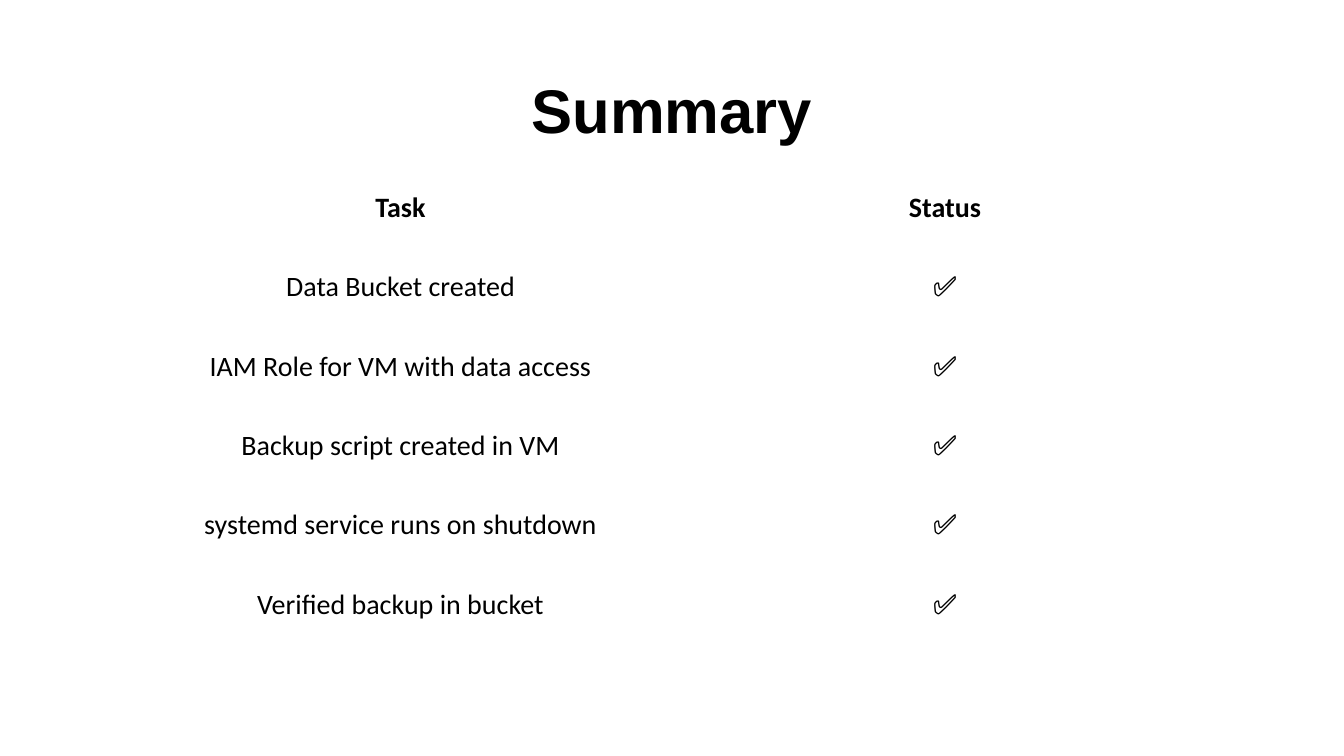
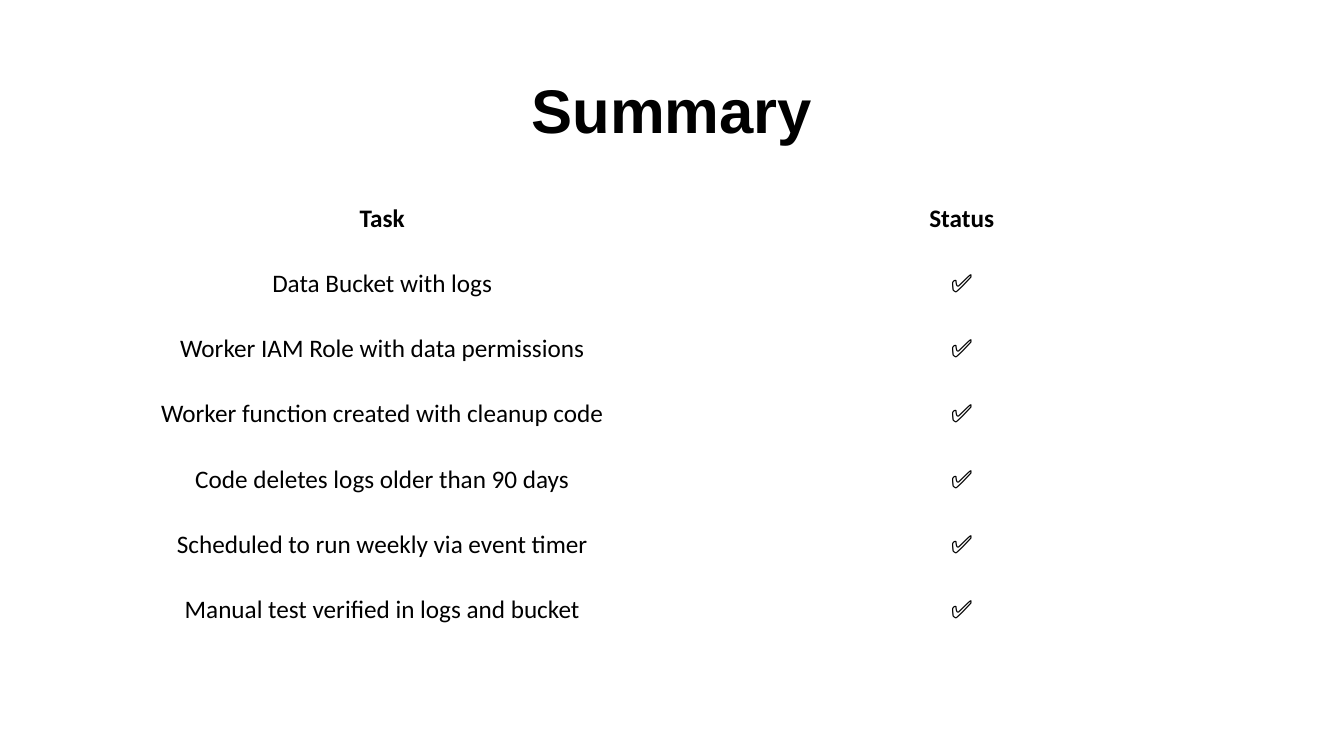
import pptx
import pptx.dml.color
import pptx.enum.text
import pptx.util

Cm = pptx.util.Cm
Pt = pptx.util.Pt
PP_ALIGN = pptx.enum.text.PP_ALIGN
MSO_ANCHOR = pptx.enum.text.MSO_ANCHOR

BLACK = pptx.dml.color.RGBColor(0x00, 0x00, 0x00)
WHITE = pptx.dml.color.RGBColor(0xFF, 0xFF, 0xFF)
TITLE_FONT = "Arial"
TABLE_FONT = "Calibri"
TITLE_ONLY_LAYOUT = 5
DONE = "✅"

BACKUP_TASKS = [
    "Data Bucket created",
    "IAM Role for VM with data access",
    "Backup script created in VM",
    "systemd service runs on shutdown",
    "Verified backup in bucket",
]
CLEANUP_TASKS = [
    "Data Bucket with logs",
    "Worker IAM Role with data permissions",
    "Worker function created with cleanup code",
    "Code deletes logs older than 90 days",
    "Scheduled to run weekly via event timer",
    "Manual test verified in logs and bucket",
]


def format_paragraph(paragraph, font_name, size, bold):
    paragraph.alignment = PP_ALIGN.CENTER
    for run in paragraph.runs:
        run.font.name = font_name
        run.font.size = Pt(size)
        run.font.bold = bold
        run.font.color.rgb = BLACK


def add_titled_slide(deck, heading):
    slide = deck.slides.add_slide(deck.slide_layouts[TITLE_ONLY_LAYOUT])
    slide.background.fill.solid()
    slide.background.fill.fore_color.rgb = WHITE

    title = slide.shapes.title
    title.left, title.top = Cm(2.33), Cm(1.02)
    title.width, title.height = Cm(29.21), Cm(3.68)
    title.text_frame.text = heading
    title.text_frame.vertical_anchor = MSO_ANCHOR.MIDDLE
    paragraph = title.text_frame.paragraphs[0]
    paragraph.line_spacing = 0.9
    format_paragraph(paragraph, TITLE_FONT, 44, True)
    return slide


def add_status_table(slide, tasks, left, top, width, row_height, size):
    """Add a plain two-column checklist; lengths are in centimetres."""
    entries = [("Task", "Status")] + [(task, DONE) for task in tasks]
    table = slide.shapes.add_table(
        len(entries), 2, Cm(left), Cm(top), Cm(width), Cm(row_height * len(entries))
    ).table
    table.first_row = False
    table.horz_banding = False
    for row_index, entry in enumerate(entries):
        table.rows[row_index].height = Cm(row_height)
        for cell, wording in zip(table.rows[row_index].cells, entry):
            cell.fill.background()
            cell.vertical_anchor = MSO_ANCHOR.MIDDLE
            cell.text_frame.text = wording
            format_paragraph(
                cell.text_frame.paragraphs[0], TABLE_FONT, size, row_index == 0
            )


def main():
    deck = pptx.Presentation()
    deck.slide_width, deck.slide_height = Cm(33.87), Cm(19.05)

    backup = add_titled_slide(deck, "Summary")
    add_status_table(backup, BACKUP_TASKS, 3.23, 4.24, 27.45, 2, 20)

    cleanup = add_titled_slide(deck, "Summary")
    add_status_table(cleanup, CLEANUP_TASKS, 2.33, 4.7, 29.21, 1.64, 18)

    deck.save("out.pptx")


if __name__ == "__main__":
    main()
